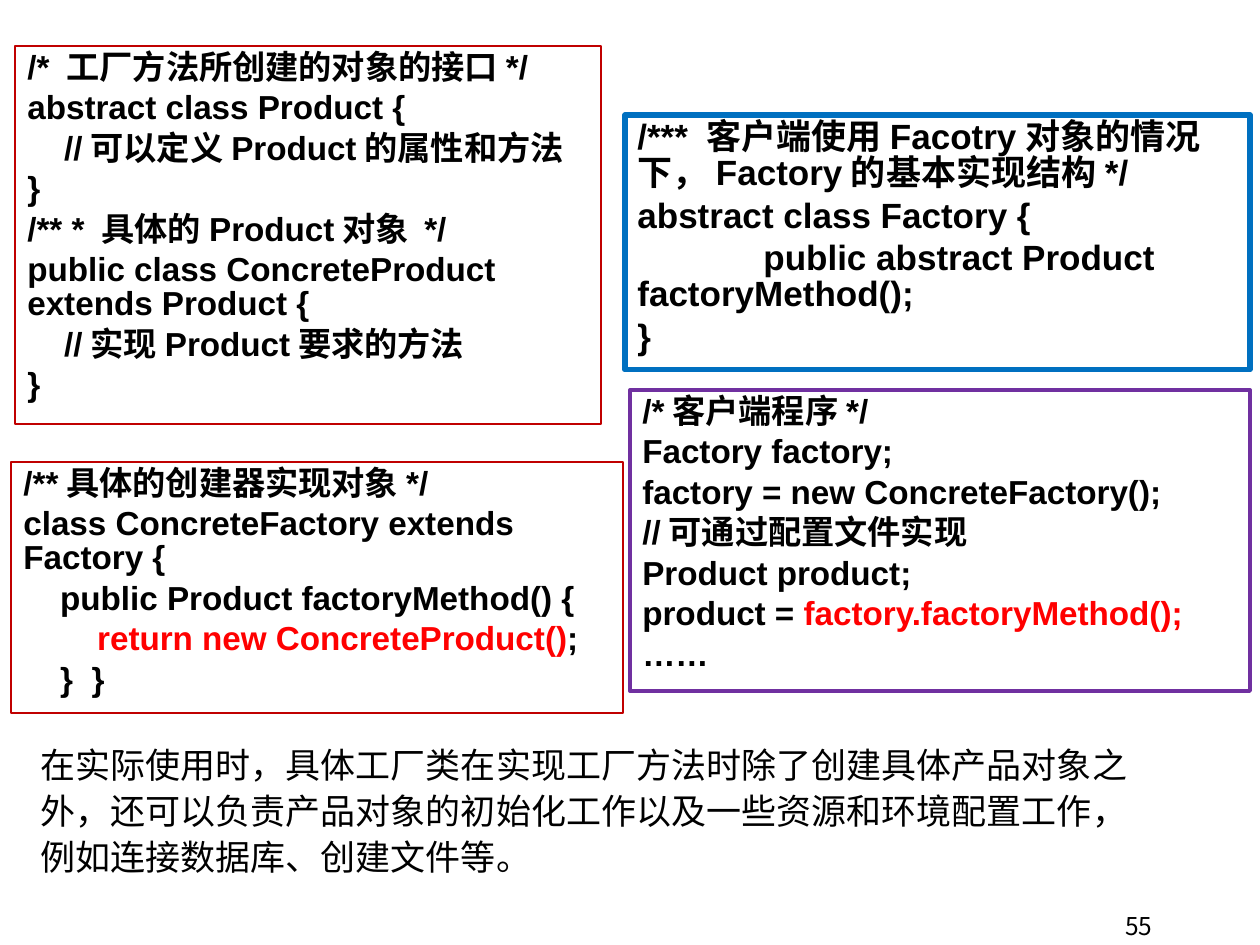
from lxml.etree import SubElement
from pptx import Presentation
from pptx.dml.color import RGBColor
from pptx.enum.shapes import MSO_SHAPE
from pptx.enum.text import MSO_ANCHOR, PP_ALIGN
from pptx.oxml.ns import qn
from pptx.util import Emu, Pt

THEME = {
    "text": RGBColor(0, 0, 0),
    "highlight": RGBColor(255, 0, 0),
    "red": RGBColor(192, 0, 0),
    "blue": RGBColor(0, 112, 192),
    "purple": RGBColor(112, 48, 160),
    "code_font": "Arial",
    "note_font": "Noto Sans CJK SC",
    "number_font": "Noto Sans CJK KR",
    "code_size": 19,
    "large_size": 20,
    "number_size": 14,
}
EMU_PER_PX = 914400 / 126
TAB_WIDTH = 126


def px(value):
    return Emu(round(value * EMU_PER_PX))


def write(shape, lines, size, font_name, bold=False, spacing=1.0,
          alignment=PP_ALIGN.LEFT, anchor=MSO_ANCHOR.TOP):
    """Each line is a list of (text, colour key) runs."""
    frame = shape.text_frame
    frame.word_wrap = True
    frame.vertical_anchor = anchor
    for index, runs in enumerate(lines):
        paragraph = frame.paragraphs[0] if index == 0 else frame.add_paragraph()
        # Keep punctuation inside the box; tab stop for indented code
        properties = paragraph._p.get_or_add_pPr()
        properties.set("hangingPunct", "0")
        if runs[0][0].startswith("\t"):
            tabs = SubElement(properties, qn("a:tabLst"))
            SubElement(tabs, qn("a:tab"), pos=str(px(TAB_WIDTH)), algn="l")
        paragraph_format = {"alignment": alignment, "line_spacing": spacing,
                            "space_before": Pt(size * 0.2 if index else 0)}
        for name, value in paragraph_format.items():
            setattr(paragraph, name, value)
        for text, colour in runs:
            run = paragraph.add_run()
            run.text = text
            font_format = {"name": font_name, "size": Pt(size), "bold": bold}
            for name, value in font_format.items():
                setattr(run.font, name, value)
            run.font.color.rgb = THEME[colour]
            # Chinese glyphs
            east_asian = SubElement(run.font._element, qn("a:ea"))
            east_asian.set("typeface", THEME["note_font"])


presentation = Presentation()
presentation.slide_width = px(1260)
presentation.slide_height = px(945)
slide = presentation.slides.add_slide(presentation.slide_layouts[6])

# Code boxes: position, border colour, border width, text size, code
code_boxes = [
    ((15, 46, 586, 378), "red", 1.5, "code_size", [
        "/* 工厂方法所创建的对象的接口*/",
        "abstract class Product {",
        "    //可以定义Product的属性和方法",
        "}",
        "/** * 具体的Product对象 */",
        "public class ConcreteProduct extends Product {",
        "    //实现Product要求的方法",
        "}",
    ]),
    ((625, 115, 625, 255), "blue", 3, "large_size", [
        "/*** 客户端使用Facotry对象的情况下，Factory的基本实现结构*/",
        "abstract class Factory {",
        "\tpublic abstract Product factoryMethod();",
        "}",
    ]),
    ((11, 462, 612, 251), "red", 1.5, "code_size", [
        "/**具体的创建器实现对象*/",
        "class ConcreteFactory extends Factory {",
        "    public Product factoryMethod() {",
        [("        ", "text"), ("return new ConcreteProduct()", "highlight"),
         (";", "text")],
        "    }  }",
    ]),
    ((630, 390, 620, 301), "purple", 2.25, "code_size", [
        "/*客户端程序*/",
        "Factory factory;",
        "factory = new ConcreteFactory();",
        "//可通过配置文件实现",
        "Product product;",
        [("product = ", "text"), ("factory.factoryMethod();", "highlight")],
        "……",
    ]),
]
for position, border, width, size, code in code_boxes:
    box = slide.shapes.add_shape(MSO_SHAPE.RECTANGLE, *map(px, position))
    box.shadow.inherit = False
    box.fill.background()
    box.line.color.rgb = THEME[border]
    box.line.width = Pt(width)
    lines = [[(line, "text")] if isinstance(line, str) else line for line in code]
    write(box, lines, THEME[size], THEME["code_font"], bold=True, spacing=0.85)

# Explanation below the code
note = slide.shapes.add_textbox(*map(px, (28, 733, 1119, 194)))
explanation = ("在实际使用时，具体工厂类在实现工厂方法时除了创建具体产品对象之外，"
               "还可以负责产品对象的初始化工作以及一些资源和环境配置工作，"
               "例如连接数据库、创建文件等。")
write(note, [[(explanation, "text")]], THEME["large_size"], THEME["note_font"],
      spacing=1.1)

# Slide number
number = slide.shapes.add_textbox(*map(px, (903, 908, 262, 35)))
write(number, [[("55", "text")]], THEME["number_size"], THEME["number_font"],
      alignment=PP_ALIGN.RIGHT, anchor=MSO_ANCHOR.MIDDLE)

presentation.save("out.pptx")
